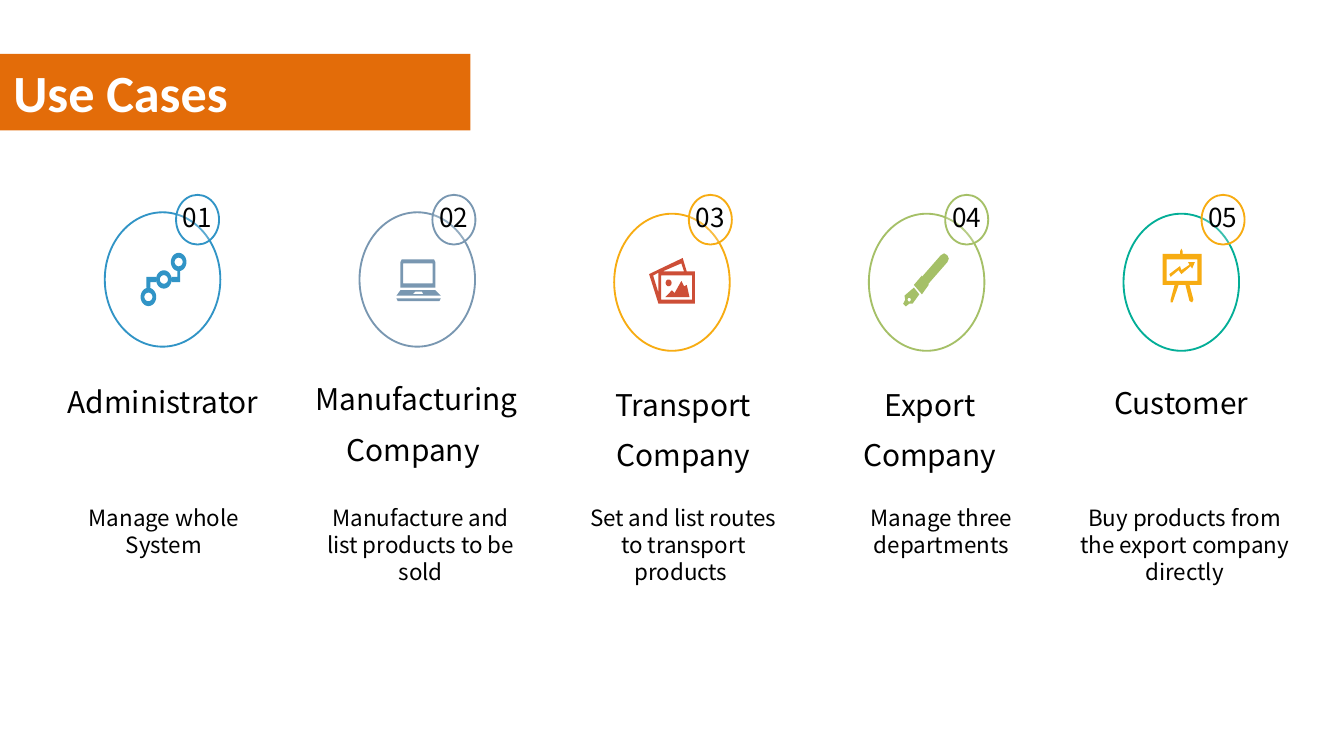
"""Build the Use Cases slide: five numbered roles with icons and descriptions."""
from dataclasses import dataclass
from math import cos, pi, sin

from lxml import etree
from pptx import Presentation
from pptx.dml.color import RGBColor
from pptx.enum.shapes import MSO_SHAPE
from pptx.enum.text import MSO_ANCHOR, PP_ALIGN
from pptx.oxml.ns import qn
from pptx.util import Inches, Pt

OVAL = MSO_SHAPE.OVAL
LEFT, CENTER = PP_ALIGN.LEFT, PP_ALIGN.CENTER
TOP, MIDDLE = MSO_ANCHOR.TOP, MSO_ANCHOR.MIDDLE
BODY_FONT = "Noto Sans CJK SC"
COLORS = {
    "orange": "E36C09", "white": "FFFFFF", "black": "000000", "blue": "3194C6",
    "slate": "7997B1", "amber": "F7AC12", "red": "CD4E37", "green": "A5C067", "teal": "03AE97",
}
FIRST_RING, LAST_RING = 0.78, 8.36
FIRST_BADGE, LAST_BADGE = 1.31, 8.94

Contour = list[tuple[float, float]]


@dataclass
class Role:
    """One column; icon points are in hundredths of an inch."""
    name: list[str]
    name_box: tuple[float, float, float, float]
    duty: str
    duty_box: tuple[float, float, float, float]
    ring_color: str
    badge_color: str
    icon_color: str
    ring_top: float
    ring_height: float
    icon: list[list[Contour]]


def ellipse(x: float, y: float, rx: float, ry: float) -> Contour:
    """Return the points of an ellipse around a centre."""
    return [(x + rx * cos(pi * k / 16), y + ry * sin(pi * k / 16)) for k in range(32)]


def rectangle(left: float, top: float, right: float, bottom: float) -> Contour:
    """Return the corners of a rectangle."""
    return [(left, top), (right, top), (right, bottom), (left, bottom)]


def rgb(name: str) -> RGBColor:
    """Look up a named colour."""
    return RGBColor.from_string(COLORS[name])


def draw_icon_part(page, contours: list[Contour], color: str) -> None:
    """Draw one filled outline, inner contours being holes."""
    scaled = [[(Inches(x / 100), Inches(y / 100)) for x, y in points] for points in contours]
    builder = page.shapes.build_freeform(*scaled[0][0], scale=1.0)
    for number, points in enumerate(scaled):
        if number:
            builder.move_to(*points[0])
        builder.add_line_segments(points[1:], close=True)
    part = builder.convert_to_shape()
    part.shadow.inherit = False
    part.fill.solid()
    part.fill.fore_color.rgb = rgb(color)
    part.line.fill.background()


def draw_oval(page, box: tuple, color: str, opacity: int = 0) -> None:
    """Draw an outlined oval with an optional translucent white fill."""
    oval = page.shapes.add_shape(OVAL, *map(Inches, box))
    oval.shadow.inherit = False
    oval.line.color.rgb = rgb(color)
    oval.line.width = Pt(1)
    if opacity:
        oval.fill.solid()
        oval.fill.fore_color.rgb = rgb("white")
        tint = oval._element.spPr.find(qn("a:solidFill"))[0]
        etree.SubElement(tint, qn("a:alpha")).set("val", str(opacity * 1000))
    else:
        oval.fill.background()


def draw_text(page, box: tuple, lines: list[str], size: int,
              inset: float = 0.05, spacing: float = 1.4) -> None:
    """Draw centred black text, one paragraph per line."""
    frame = page.shapes.add_textbox(*map(Inches, box)).text_frame
    frame.word_wrap = True
    frame.vertical_anchor = TOP
    frame.margin_left = frame.margin_right = Inches(inset)
    frame.margin_top = frame.margin_bottom = Inches(inset)
    frame.text = "\n".join(lines)
    for para in frame.paragraphs:
        para.alignment = CENTER
        para.line_spacing = spacing
        para.font.name = BODY_FONT
        para.font.size = Pt(size)
        para.font.color.rgb = rgb("black")


def draw_title(page, text: str) -> None:
    """Format the title placeholder as a coloured banner."""
    title = page.shapes.title
    title.left, title.top, title.width, title.height = map(Inches, (0, 0.4, 3.5, 0.57))
    title.fill.solid()
    title.fill.fore_color.rgb = rgb("orange")
    title.text_frame.text = text
    title.text_frame.vertical_anchor = MIDDLE
    para = title.text_frame.paragraphs[0]
    para.alignment = LEFT
    para.font.name = "Calibri"
    para.font.size = Pt(28)
    para.font.bold = True
    para.font.color.rgb = rgb("white")


def draw_role(page, index: int, role: Role) -> None:
    """Draw one column."""
    for contours in role.icon:
        draw_icon_part(page, contours, role.icon_color)
    share = index / (len(ROLES) - 1)
    ring_left = FIRST_RING + share * (LAST_RING - FIRST_RING)
    draw_oval(page, (ring_left, role.ring_top, 0.86, role.ring_height), role.ring_color)
    draw_text(page, role.name_box, role.name, 16)
    draw_text(page, role.duty_box, [role.duty], 12, inset=0, spacing=1.0)
    badge_left = FIRST_BADGE + share * (LAST_BADGE - FIRST_BADGE)
    draw_oval(page, (badge_left, 1.45, 0.32, 0.37), role.badge_color, opacity=21)
    draw_text(page, (badge_left - 0.01, 1.36, 0.34, 0.5), [f"{index + 1:02}"], 14)


NODES = [(110.5, 221), (122, 208), (133, 195)]
CHAIN = [[ellipse(x, y, rx, ry) for x, y in NODES for rx, ry in ((5.8, 6.8), (3, 3.2))] + [
    [(109, 214), (109, 206), (116, 206), (116, 210), (112, 210), (112, 214)],
    [(128, 206), (132, 206), (132, 202), (134, 202), (134, 210), (128, 210)]]]
LAPTOP = [
    [[(298, 195), (299, 193), (323, 193), (324, 195), (324, 214), (298, 214)],
     rectangle(300, 196, 322, 211)],
    [[(298, 216), (324, 216), (328, 220), (295, 220)],
     [(309, 217), (314, 217), (315, 219), (307, 219)]],
    [[(295, 222), (328, 222), (327, 224), (296, 224)]]]
PHOTOS = [
    [[(511, 202), (508, 192), (483, 204), (490, 226), (517, 226), (517, 202)],
     [(509, 202), (493, 202), (507, 196)],
     [(486, 205), (490, 203), (490, 218)],
     rectangle(492, 205, 515, 223)],
    [[(511, 212), (509, 213), (507, 209), (502, 218), (500, 216), (495, 221), (513, 221)]],
    [ellipse(497.5, 210.5, 2.2, 2.5)]]
PEN = [
    [[(673, 220), (673.5, 223), (672, 226), (674, 228), (676.5, 226), (679, 226), (684, 219),
      (680, 214)], ellipse(676.5, 223, 1.2, 1.4)],
    [[(705, 190), (702.5, 188.5), (700, 190), (686, 206), (686, 205), (680, 212), (686, 219),
      (691, 212), (691, 211), (705, 195), (706, 192.5)]]]
EASEL = [
    [[(894, 189), (880, 189), (880, 187), (879, 185), (878, 187), (878, 189), (865, 189),
      (865, 212), (874, 212), (871, 223), (871, 225), (872.5, 225), (877, 212), (882, 212),
      (885, 224), (887, 225), (888, 223), (885, 212), (894, 212)],
     rectangle(868, 193, 891, 209)],
    [[(871, 206), (877, 201), (879, 204), (886, 198), (887, 200), (889, 195), (884, 195),
      (885, 197), (879, 201), (878, 198), (870, 204)]]]

ROLES = [
    Role(["Administrator"], (0.43, 2.7, 1.57, 0.51), "Manage whole System",
         (0.51, 3.75, 1.42, 0.4), "blue", "blue", "blue", 1.58, 1, CHAIN),
    Role(["Manufacturing", "Company "], (2.2, 2.68, 1.8, 0.81),
         "Manufacture and list products to be sold",
         (2.42, 3.75, 1.42, 0.61), "slate", "slate", "slate", 1.58, 1, LAPTOP),
    Role(["Transport", "Company"], (4.3, 2.72, 1.57, 0.96),
         "Set and list routes to transport products ",
         (4.3, 3.75, 1.57, 0.61), "amber", "amber", "red", 1.59, 1.02, PHOTOS),
    Role(["Export", "Company"], (6.22, 2.72, 1.4, 0.96), "Manage three departments",
         (6.22, 3.75, 1.57, 0.4), "green", "green", "green", 1.59, 1.02, PEN),
    Role(["Customer"], (8.09, 2.71, 1.4, 0.52), "Buy products from the export company directly",
         (8.03, 3.75, 1.57, 0.61), "teal", "amber", "amber", 1.59, 1.02, EASEL),
]


def main() -> None:
    """Assemble and save the deck."""
    deck = Presentation()
    deck.slide_width = Inches(10)
    deck.slide_height = deck.slide_width * 9 // 16
    page = deck.slides.add_slide(deck.slide_layouts[5])
    draw_title(page, "Use Cases")
    for index, role in enumerate(ROLES):
        draw_role(page, index, role)
    deck.save("out.pptx")


if __name__ == "__main__":
    main()
